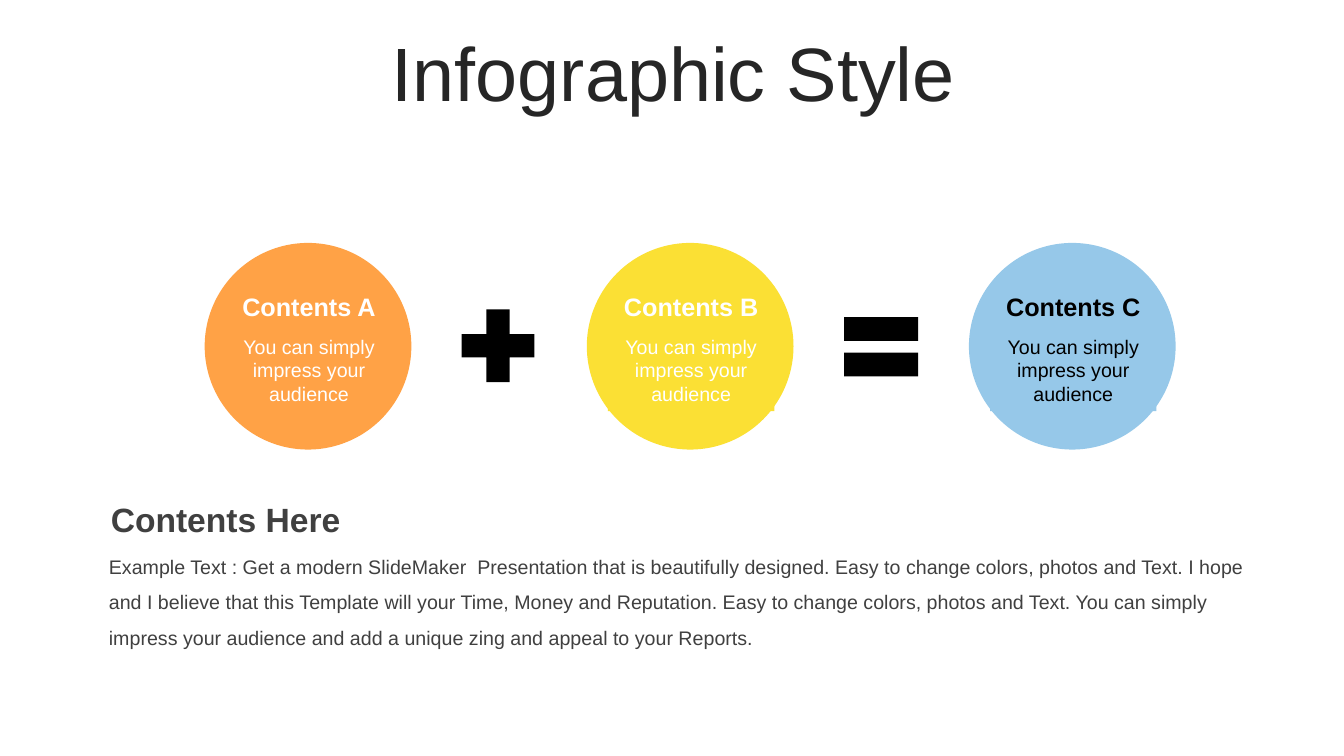
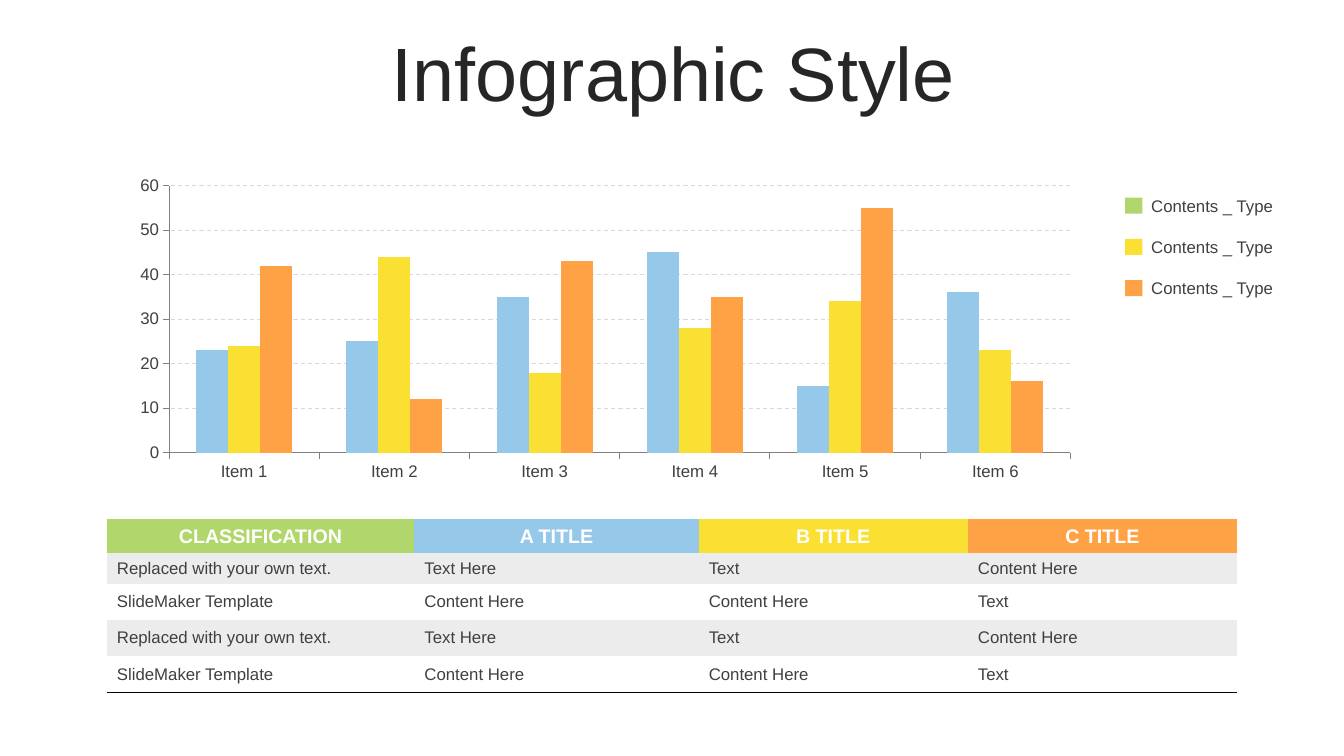
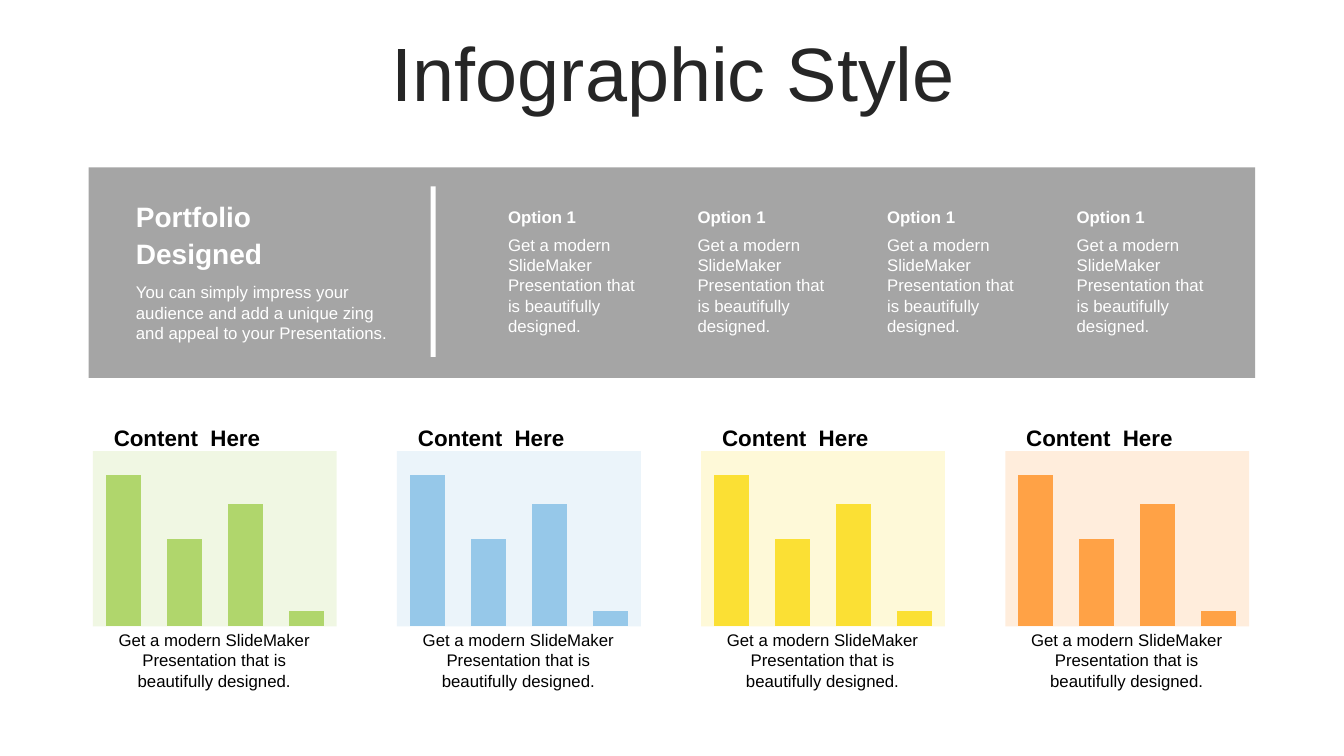
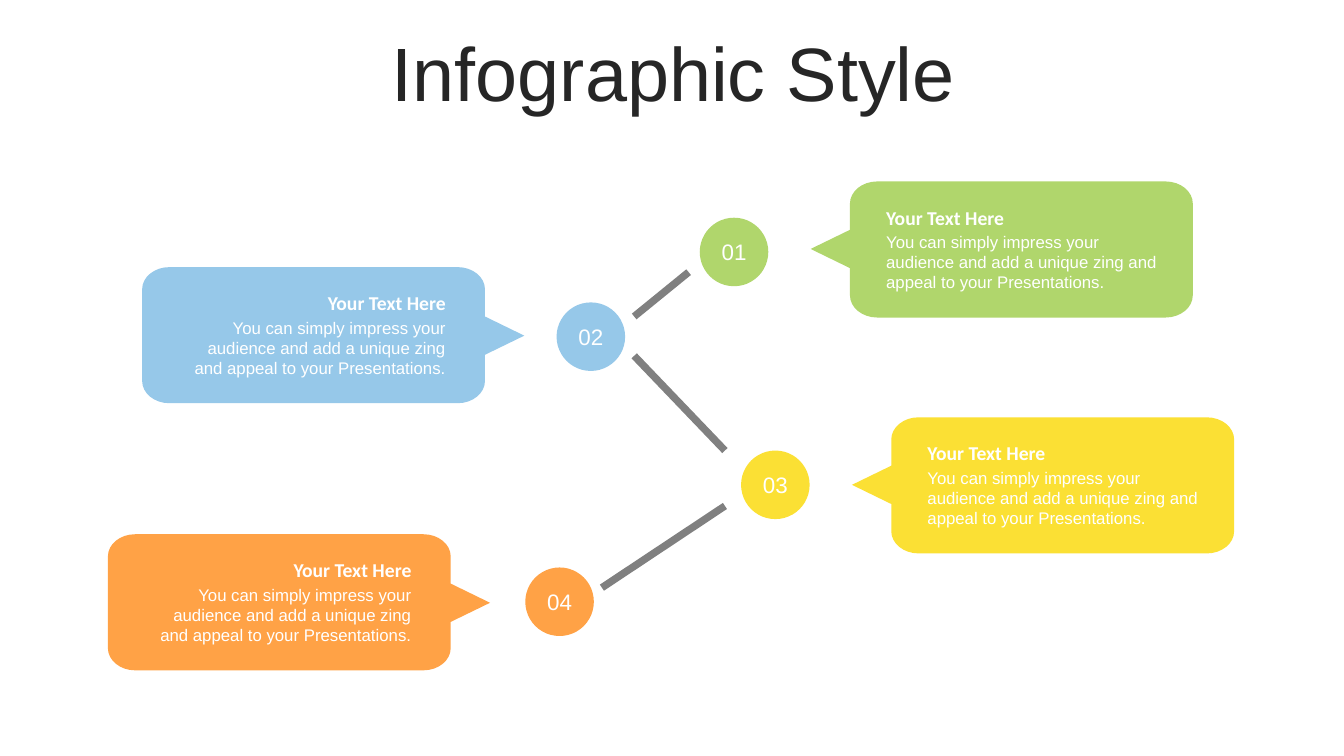
from lxml.etree import SubElement
from pptx import Presentation
from pptx.chart.data import CategoryChartData
from pptx.dml.color import RGBColor
from pptx.enum.chart import XL_CHART_TYPE, XL_TICK_MARK
from pptx.enum.dml import MSO_LINE
from pptx.enum.shapes import MSO_CONNECTOR, MSO_SHAPE
from pptx.enum.text import MSO_ANCHOR, PP_ALIGN
from pptx.oxml import parse_xml
from pptx.oxml.ns import nsdecls, qn
from pptx.util import Inches, Pt

GREEN, BLUE, YELLOW, ORANGE = "B0D66C", "96C8E9", "FBE034", "FFA246"
WHITE, BLACK, DARK, TITLE_INK = "FFFFFF", "000000", "404040", "262626"
GREY, BAND_GREY, STRIPE, GRID = "808080", "A5A5A5", "ECECEC", "D9D9D9"
PALETTE = [GREEN, BLUE, YELLOW, ORANGE]
CENTER, RIGHT = PP_ALIGN.CENTER, PP_ALIGN.RIGHT
TOP, MIDDLE = MSO_ANCHOR.TOP, MSO_ANCHOR.MIDDLE
NO_TABLE_STYLE = "{2D5ABB26-0587-4C30-8999-92F81FD0307C}"

TITLE = "Infographic Style"

IMPRESS = "You can simply impress your audience"
TERMS = [
    ("Contents A", ORANGE, WHITE, None),
    ("Contents B", YELLOW, WHITE, YELLOW),
    ("Contents C", BLUE, BLACK, BLUE),
]
OPERATORS = [(MSO_SHAPE.MATH_PLUS, 0.98), (MSO_SHAPE.MATH_EQUAL, 1)]
SUMMARY_HEADING = "Contents Here"
SUMMARY = (
    "Example Text : Get a modern SlideMaker  Presentation that is beautifully designed. "
    "Easy to change colors, photos and Text. I hope and I believe that this Template will "
    "your Time, Money and Reputation. Easy to change colors, photos and Text. You can simply "
    "impress your audience and add a unique zing and appeal to your Reports."
)

ITEMS = [f"Item {number}" for number in range(1, 7)]
ITEM_SERIES = [
    ("Series 1", [23, 25, 35, 45, 15, 36], BLUE),
    ("Series 2", [24, 44, 18, 28, 34, 23], YELLOW),
    ("Series 3", [42, 12, 43, 35, 55, 16], ORANGE),
]
LEGEND = [("Contents _ Type", color) for color in (GREEN, YELLOW, ORANGE)]
TABLE_HEADER = ["CLASSIFICATION", "A TITLE", "B TITLE", "C TITLE"]
TABLE_BODY = [
    ["Replaced with your own text.", "Text Here", "Text", "Content Here"],
    ["SlideMaker Template", "Content Here", "Content Here", "Text"],
] * 2
COLUMN_WIDTHS = [3.05, 2.82, 2.67, 2.67]
ROW_HEIGHTS = [0.34, 0.3, 0.36, 0.36, 0.36]

PORTFOLIO = "Portfolio\vDesigned"
APPEAL = ("You can simply impress your audience and add a unique zing "
          "and appeal to your Presentations.")
MODERN = "Get a modern SlideMaker Presentation that is beautifully designed."
OPTIONS = ["Option 1"] * 4
CARD_HEADING = "Content  Here"
CARD_SERIES = [100, 58, 81, 10]

STEP_HEADING = "Your Text Here"
STEPS = [
    ("01", GREEN, (6.94, 2.16), (8.04, 1.8), False),
    ("02", BLUE, (5.52, 3), (1.41, 2.65), True),
    ("03", YELLOW, (7.35, 4.47), (8.45, 4.14), False),
    ("04", ORANGE, (5.21, 5.63), (1.07, 5.3), True),
]
LINKS = [(6.29, 3.14, 6.83, 2.7), (6.29, 3.53, 7.19, 4.47), (5.97, 5.83, 7.19, 5.02)]


def rgb(color):
    """Turn a hex string into a colour."""
    return RGBColor.from_string(color)


def paint(fill, color):
    """Make a fill solid in one colour."""
    fill.solid()
    fill.fore_color.rgb = rgb(color)


def write(frame, text, *, size=12, color=DARK, bold=False, font="Arial",
          align=None, anchor=None, spacing=None, inset=None):
    """Put formatted text into a text frame."""
    frame.word_wrap = True
    if anchor is not None:
        frame.vertical_anchor = anchor
    if inset is not None:
        frame.margin_left = frame.margin_right = Inches(inset)
    paragraph = frame.paragraphs[0]
    paragraph.text = text
    paragraph.alignment = align
    paragraph.line_spacing = spacing
    for run in paragraph.runs:
        run.font.name, run.font.size, run.font.bold = font, Pt(size), bold
        run.font.color.rgb = rgb(color)


def finish(shape, color):
    """Give a shape a flat fill without line or shadow."""
    shape.shadow.inherit = False
    paint(shape.fill, color)
    shape.line.fill.background()


def add_block(slide, preset, left, top, width, height, color):
    """Add a flat preset shape."""
    block = slide.shapes.add_shape(
        preset, Inches(left), Inches(top), Inches(width), Inches(height))
    finish(block, color)
    return block


def add_label(slide, text, left, top, width, height, *, back=None, anchor=TOP, **style):
    """Add a text box, or a filled rectangle when a back colour is given."""
    if back:
        box = add_block(slide, MSO_SHAPE.RECTANGLE, left, top, width, height, back)
    else:
        box = slide.shapes.add_textbox(
            Inches(left), Inches(top), Inches(width), Inches(height))
    write(box.text_frame, text, anchor=anchor, **style)


def add_columns(slide, area, categories, series, gap):
    """Add a clustered column chart with coloured series."""
    data = CategoryChartData()
    data.categories = categories
    for name, values, _ in series:
        data.add_series(name, values)
    chart = slide.shapes.add_chart(
        XL_CHART_TYPE.COLUMN_CLUSTERED, *map(Inches, area), data).chart
    chart.has_legend = chart.has_title = False
    chart.font.name, chart.font.size = "Arial", Pt(18)
    chart.font.color.rgb = rgb(BLACK)
    plot = chart.plots[0]
    plot.gap_width, plot.overlap, plot.vary_by_categories = gap, 0, False
    for drawn, (_, _, color) in zip(plot.series, series):
        paint(drawn.format.fill, color)
    return chart


def tint_plot(chart, color):
    """Fill the plot area with a transparent colour."""
    chart._chartSpace.chart.plotArea.append(parse_xml(
        f'<c:spPr {nsdecls("c", "a")}><a:solidFill><a:srgbClr val="{color}">'
        '<a:alpha val="19000"/></a:srgbClr></a:solidFill></c:spPr>'))


def underline(cell):
    """Draw a thin black line below a table cell."""
    cell._tc.get_or_add_tcPr().insert(0, parse_xml(
        f'<a:lnB {nsdecls("a")} w="12700"><a:solidFill><a:srgbClr val="{BLACK}"/>'
        '</a:solidFill></a:lnB>'))


def add_link(slide, x1, y1, x2, y2):
    """Add a thick grey line."""
    link = slide.shapes.add_connector(MSO_CONNECTOR.STRAIGHT, *map(Inches, (x1, y1, x2, y2)))
    link.line.color.rgb = rgb(GREY)
    link.line.width = Pt(5.25)
    SubElement(link._element.spPr, qn("a:effectLst"))


def round_corners(shape, corners):
    """Turn the numbered segments into curves; a true flag starts them horizontally."""
    points = list(shape._element.iter(qn("a:pt")))
    places = [(int(point.get("x")), int(point.get("y"))) for point in points]
    for index, horizontal in corners.items():
        start, end = places[index - 1], places[index]
        peak = (end[0], start[1]) if horizontal else (start[0], end[1])
        controls = [
            tuple(round(a + 0.55 * (b - a)) for a, b in zip(origin, peak))
            for origin in (start, end)
        ]
        curve = "".join(f'<a:pt x="{x}" y="{y}"/>' for x, y in controls + [end])
        segment = points[index].getparent()
        segment.getparent().replace(segment, parse_xml(
            f'<a:cubicBezTo {nsdecls("a")}>{curve}</a:cubicBezTo>'))


def add_callout(slide, left, top, color, turned):
    """Add a rounded callout whose tail points left, or right when turned."""
    width, height, tail, rx, ry = 3.79, 1.35, 0.39, 0.27, 0.22
    outline = [
        (tail + rx, 0), (width - rx, 0), (width, ry), (width, height - ry),
        (width - rx, height), (tail + rx, height), (tail, height - ry),
        (tail, 0.86), (0, 0.67), (tail, 0.48), (tail, ry), (tail + rx, 0),
    ]
    if turned:
        outline = [(width - x, height - y) for x, y in outline]
    points = [(Inches(left + x), Inches(top + y)) for x, y in outline]
    builder = slide.shapes.build_freeform(*points[0], scale=1.0)
    builder.add_line_segments(points[1:], close=True)
    callout = builder.convert_to_shape()
    round_corners(callout, {2: True, 4: False, 6: True, 11: False})
    finish(callout, color)


def add_titled_slide(deck):
    """Add a blank slide with the shared title."""
    slide = deck.slides.add_slide(deck.slide_layouts[6])
    add_label(slide, TITLE, 0.35, 0.37, 12.66, 0.79, size=54, color=TITLE_INK,
              align=CENTER, anchor=MIDDLE, spacing=0.9)
    return slide


def build_equation(slide):
    """Draw the sum of circles and its summary."""
    pitch, top, diameter = 3.79, 2.41, 2.05
    for index, (heading, color, ink, back) in enumerate(TERMS):
        left = 2.03 + index * pitch
        add_block(slide, MSO_SHAPE.OVAL, left, top, diameter, diameter, color)
        add_label(slide, IMPRESS, left + 0.21, 3.27, 1.65, 0.81, back=back,
                  size=14, color=ink, align=CENTER, inset=0.08)
        add_label(slide, heading, left + 0.21, 2.84, 1.65, 0.4, back=back,
                  size=18, color=ink, bold=True, align=CENTER)
    for index, (operator, size) in enumerate(OPERATORS):
        add_block(slide, operator, 4.45 + index * pitch, 2.94, size, size, BLACK)
    add_label(slide, SUMMARY, 1, 5.34, 11.52, 1.12, size=14, spacing=1.5, inset=0.08)
    add_label(slide, SUMMARY_HEADING, 1, 4.9, 11.52, 0.5, size=24, bold=True)


def build_comparison(slide):
    """Draw the chart, its legend and the table."""
    chart = add_columns(slide, (1.2, 1.69, 9.61, 3.14), ITEMS, ITEM_SERIES, 170)
    for axis in (chart.category_axis, chart.value_axis):
        axis.major_tick_mark = XL_TICK_MARK.OUTSIDE
        axis.minor_tick_mark = XL_TICK_MARK.NONE
        axis.tick_labels.font.size = Pt(12)
        axis.tick_labels.font.color.rgb = rgb(DARK)
        axis.format.line.color.rgb = rgb(GREY)
    scale = chart.value_axis
    scale.minimum_scale, scale.maximum_scale, scale.major_unit = 0, 60, 10
    grid = scale.major_gridlines.format.line
    grid.color.rgb, grid.width, grid.dash_style = rgb(GRID), Pt(0.75), MSO_LINE.DASH

    for index, (name, color) in enumerate(LEGEND):
        top = 1.89 + index * 0.41
        add_block(slide, MSO_SHAPE.RECTANGLE, 11.16, top + 0.07, 0.17, 0.16, color)
        add_label(slide, name, 11.32, top, 1.43, 0.3, anchor=MIDDLE)

    rows = [TABLE_HEADER] + TABLE_BODY
    table = slide.shapes.add_table(
        len(rows), len(TABLE_HEADER), Inches(1.06), Inches(5.15),
        Inches(sum(COLUMN_WIDTHS)), Inches(sum(ROW_HEIGHTS))).table
    table._tbl.tblPr.find(qn("a:tableStyleId")).text = NO_TABLE_STYLE
    table.first_row = table.horz_banding = False
    for column, width in zip(table.columns, COLUMN_WIDTHS):
        column.width = Inches(width)
    for row, height in zip(table.rows, ROW_HEIGHTS):
        row.height = Inches(height)
    for r, row in enumerate(rows):
        for c, text in enumerate(row):
            cell = table.cell(r, c)
            cell.vertical_anchor = MIDDLE
            if r == 0:
                write(cell.text_frame, text, size=14, color=WHITE, bold=True, align=CENTER)
                paint(cell.fill, PALETTE[c])
                continue
            write(cell.text_frame, text)
            if r % 2:
                paint(cell.fill, STRIPE)
            else:
                cell.fill.background()
            if r == len(rows) - 1:
                underline(cell)


def build_portfolio(slide):
    """Draw the grey band of options and the four chart cards."""
    first, last = 0.87, 9.92
    lefts = [first + index * (last - first) / 3 for index in range(len(PALETTE))]
    for left, color in zip(lefts, PALETTE):
        chart = add_columns(slide, (left, 4.44, 2.52, 1.81), ["1", "2", "3", "4"],
                            [("Series 1", CARD_SERIES, color)], 76)
        chart.value_axis.minimum_scale, chart.value_axis.maximum_scale = 0, 116
        chart.value_axis.has_major_gridlines = False
        chart.value_axis.visible = chart.category_axis.visible = False
        tint_plot(chart, color)
    for left in lefts:
        add_label(slide, CARD_HEADING, left + 0.16, 4.16, 2.19, 0.37,
                  size=16, color=BLACK, bold=True, anchor=MIDDLE)
        add_label(slide, MODERN, left + 0.16, 6.2, 2.19, 0.71, color=BLACK, align=CENTER)

    add_block(slide, MSO_SHAPE.RECTANGLE, 0.88, 1.66, 11.57, 2.09, BAND_GREY)
    add_label(slide, PORTFOLIO, 1.25, 1.92, 2.73, 0.79, size=20, color=WHITE,
              bold=True, anchor=MIDDLE, spacing=1.1)
    add_label(slide, APPEAL, 1.25, 2.75, 2.73, 0.71, color=WHITE)
    add_block(slide, MSO_SHAPE.RECTANGLE, 4.27, 1.85, 0.05, 1.69, WHITE)
    for index, option in enumerate(OPTIONS):
        left = 4.94 + index * 1.88
        add_label(slide, option, left, 2, 1.61, 0.3, color=WHITE, bold=True, anchor=MIDDLE)
        add_label(slide, MODERN, left, 2.28, 1.61, 1.11, color=WHITE)


def build_steps(slide):
    """Draw the numbered path with its callouts."""
    for link in LINKS:
        add_link(slide, *link)
    for number, color, (x, y), _, _ in STEPS:
        circle = add_block(slide, MSO_SHAPE.OVAL, x, y, 0.68, 0.68, color)
        write(circle.text_frame, number, size=16, color=WHITE, align=CENTER, anchor=MIDDLE)
    for _, color, _, (left, top), turned in STEPS:
        add_callout(slide, left, top, color, turned)
        offset, width, align = (0.23, 2.88, RIGHT) if turned else (0.65, 2.98, None)
        add_label(slide, STEP_HEADING, left + offset, top + 0.19, width, 0.34,
                  size=14, color=WHITE, bold=True, font="Calibri", align=align)
        add_label(slide, APPEAL, left + offset, top + 0.45, width, 0.71,
                  color=WHITE, align=align)


def main():
    """Build the deck and save it."""
    deck = Presentation()
    deck.slide_width, deck.slide_height = Inches(13.33), Inches(7.5)
    for build in (build_equation, build_comparison, build_portfolio, build_steps):
        build(add_titled_slide(deck))
    deck.save("out.pptx")


if __name__ == "__main__":
    main()
